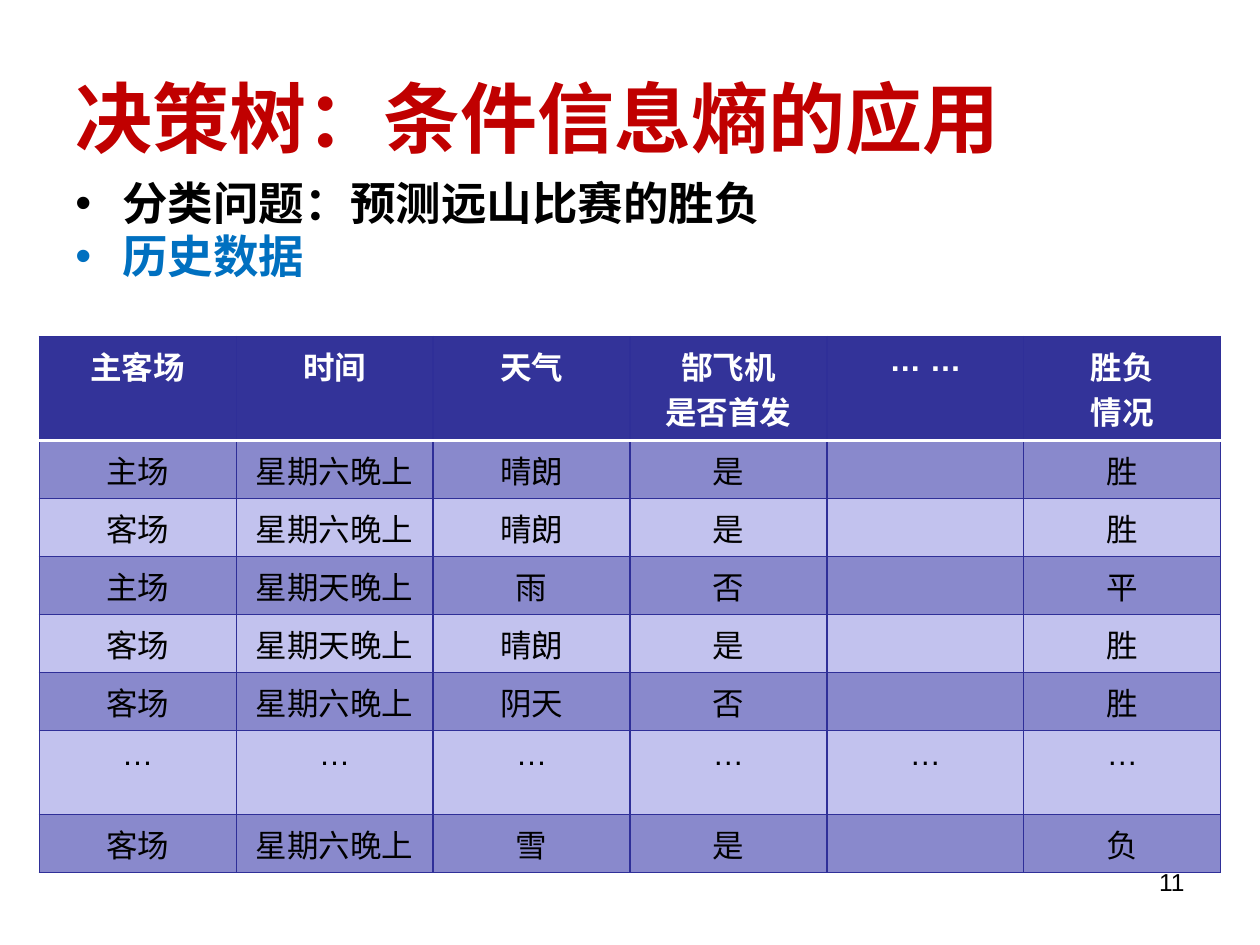
import dataclasses

import pptx
import pptx.dml.color
import pptx.enum.text
import pptx.oxml.ns
import pptx.util
from lxml import etree

Cm = pptx.util.Cm
Pt = pptx.util.Pt
qn = pptx.oxml.ns.qn
ALIGN = pptx.enum.text.PP_ALIGN
ANCHOR = pptx.enum.text.MSO_ANCHOR


@dataclasses.dataclass(frozen=True)
class Theme:
    title: str = "C00000"
    text: str = "000000"
    accent: str = "0070C0"
    white: str = "FFFFFF"
    header: str = "333399"
    bands: tuple = ("8989CC", "C2C2EE")
    border: str = "2F2F98"
    title_size: int = 44
    body_size: int = 26
    table_size: int = 18
    number_size: int = 14
    serif: str = "Times New Roman"
    sans: str = "Arial"
    cjk: str = "Noto Sans CJK SC"


THEME = Theme()

HEADER = ["主客场", "时间", "天气", "郜飞机\n是否首发", "… …", "胜负\n情况"]
MATCHES = [
    ["主场", "星期六晚上", "晴朗", "是", "", "胜"],
    ["客场", "星期六晚上", "晴朗", "是", "", "胜"],
    ["主场", "星期天晚上", "雨", "否", "", "平"],
    ["客场", "星期天晚上", "晴朗", "是", "", "胜"],
    ["客场", "星期六晚上", "阴天", "否", "", "胜"],
    ["…"] * 6,
    ["客场", "星期六晚上", "雪", "是", "", "负"],
]
HEADER_HEIGHT, ROW_HEIGHT, ELLIPSIS_HEIGHT = Cm(2.1), Cm(1.17), Cm(1.69)
COLUMN_WIDTH = Cm(3.97)


def rgb(value):
    return pptx.dml.color.RGBColor.from_string(value)


def format_runs(p, size, color, font, bold=False):
    for r in p.runs:
        r.font.size = Pt(size)
        r.font.bold = bold
        r.font.name = font
        r.font.color.rgb = rgb(color)
        rPr = r.font._element
        rPr.set("lang", "zh-CN")
        ea = etree.Element(qn("a:ea"), typeface=THEME.cjk)
        rPr.find(qn("a:latin")).addnext(ea)


def add_text(s, left, top, width, height, text, anchor=ANCHOR.TOP):
    sp = s.shapes.add_textbox(Cm(left), Cm(top), Cm(width), Cm(height))
    tf = sp.text_frame
    tf.word_wrap = True
    tf.vertical_anchor = anchor
    tf.text = text
    return tf


def add_bullet(p):
    pPr = p._p.get_or_add_pPr()
    pPr.set("marL", str(Cm(0.95)))
    pPr.set("indent", str(-Cm(0.95)))
    etree.SubElement(pPr, qn("a:buFont"), typeface=THEME.sans)
    etree.SubElement(pPr, qn("a:buChar"), char="•")


def set_border(cell, side, color, width):
    ln = etree.SubElement(cell._tc.get_or_add_tcPr(), qn("a:ln" + side), w=str(Pt(width)))
    fill = etree.SubElement(ln, qn("a:solidFill"))
    etree.SubElement(fill, qn("a:srgbClr"), val=color)


def fill_cell(cell, text, row):
    is_header = row == 0
    # Borders come before the fill; a white rule parts the header from the body
    white_side = {0: "B", 1: "T"}.get(row)
    for side in "LRTB":
        if side == white_side:
            set_border(cell, side, THEME.white, 2)
        else:
            set_border(cell, side, THEME.border, 0.75)
    cell.fill.solid()
    cell.fill.fore_color.rgb = rgb(THEME.header if is_header else THEME.bands[(row - 1) % 2])
    cell.text_frame.text = text
    for p in cell.text_frame.paragraphs:
        p.alignment = ALIGN.CENTER
        format_runs(p, THEME.table_size, THEME.white if is_header else THEME.text,
                    THEME.sans, is_header)


def add_history_table(s):
    rows = [HEADER] + MATCHES
    heights = [HEADER_HEIGHT] + [ELLIPSIS_HEIGHT if m[0] == "…" else ROW_HEIGHT for m in MATCHES]
    table = s.shapes.add_table(len(rows), len(HEADER), Cm(0.79), Cm(6.78),
                               COLUMN_WIDTH * len(HEADER), sum(heights)).table
    table.horz_banding = False
    for column in table.columns:
        column.width = COLUMN_WIDTH
    for i, (texts, height) in enumerate(zip(rows, heights)):
        table.rows[i].height = height
        for j, text in enumerate(texts):
            fill_cell(table.cell(i, j), text, i)


def main():
    prs = pptx.Presentation()
    prs.slide_width, prs.slide_height = Cm(25.4), Cm(19.05)
    s = prs.slides.add_slide(prs.slide_layouts[6])

    # Title
    tf = add_text(s, 1.27, 0.76, 22.86, 3.18, "决策树：条件信息熵的应用", ANCHOR.MIDDLE)
    format_runs(tf.paragraphs[0], THEME.title_size, THEME.title, THEME.serif, True)

    # Page number
    tf = add_text(s, 18.21, 17.35, 5.92, 1.32, "11")
    tf.paragraphs[0].alignment = ALIGN.RIGHT
    format_runs(tf.paragraphs[0], THEME.number_size, THEME.text, THEME.sans)

    # Bullets
    tf = add_text(s, 1.27, 3.53, 22.86, 12.57, "分类问题：预测远山比赛的胜负\n历史数据")
    for p, color in zip(tf.paragraphs, (THEME.text, THEME.accent)):
        p.line_spacing = 0.9
        p.space_before = Pt(2)
        add_bullet(p)
        format_runs(p, THEME.body_size, color, THEME.cjk, True)

    # Match history
    add_history_table(s)

    prs.save("out.pptx")


if __name__ == "__main__":
    main()
